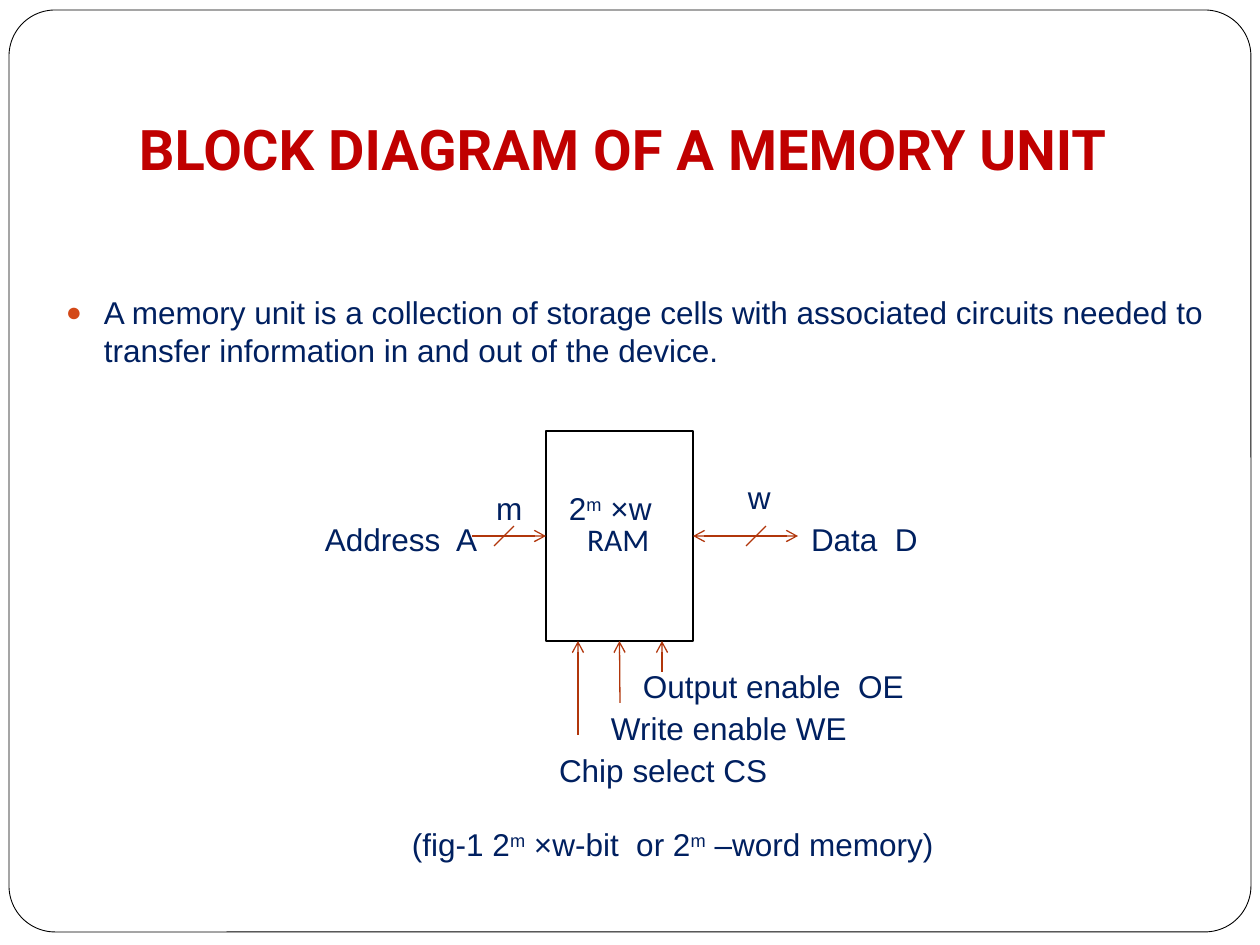
from lxml.etree import SubElement
from pptx import Presentation
from pptx.dml.color import RGBColor
from pptx.enum.shapes import MSO_CONNECTOR, MSO_SHAPE
from pptx.enum.text import MSO_ANCHOR, MSO_AUTO_SIZE, PP_ALIGN
from pptx.oxml.ns import qn
from pptx.util import Pt

PX = 914400 / 126
NAVY, RED, RUST, BULLET = "002060", "C00000", "B1360B", "D34817"
BLACK, WHITE = "000000", "FFFFFF"

TITLE = "BLOCK DIAGRAM OF A MEMORY UNIT"
BODY = ("A memory unit is a collection of storage cells with associated circuits "
        "needed to transfer information in and out of the device.")
RAM = (546, 431, 147, 210)
MID_Y = RAM[1] + RAM[3] // 2
BOTTOM = RAM[1] + RAM[3]

# Text between carets is superscript.
LABELS = [
    ("Address  A", 312, 514, 203),
    ("Data  D", 798, 514, 168),
    ("Output enable  OE", 630, 661, 357),
    ("Write enable WE", 598, 703, 325),
    ("Chip select CS", 546, 745, 284),
    ("(fig-1 2^m^ ×w-bit  or 2^m^ –word memory)", 399, 819, 588),
    ("m", 483, 483, 42),
    ("w", 735, 472, 52),
    ("2^m^ ×w", 556, 483, 126),
]
CONTROLS = [(578, 735), (620, 703), (662, 672)]
SLASHES = [494, 746]


def emu(*values):
    return [round(v * PX) for v in values]


def rgb(value):
    return RGBColor.from_string(value)


def write(sp, text, size=18, font="Arial", color=NAVY, bold=False,
          anchor=MSO_ANCHOR.TOP, margins=(13, 6, 13, 6), spacing=None):
    tf = sp.text_frame
    tf.word_wrap = True
    tf.auto_size = MSO_AUTO_SIZE.NONE
    tf.vertical_anchor = anchor
    tf.margin_left, tf.margin_top, tf.margin_right, tf.margin_bottom = emu(*margins)
    p = tf.paragraphs[0]
    p.alignment = PP_ALIGN.LEFT
    p.space_before = Pt(0)
    if spacing:
        p.line_spacing = spacing
    for i, part in enumerate(text.split("^")):
        r = p.add_run()
        r.text = part
        r.font.size, r.font.name, r.font.bold = Pt(size), font, bold
        r.font.color.rgb = rgb(color)
        if i % 2:
            r.font._element.set("baseline", "30000")
    return p


def place(sp, *box):
    sp.left, sp.top, sp.width, sp.height = emu(*box)


def add_box(s, kind, box, line_width):
    sp = s.shapes.add_shape(kind, *emu(*box))
    sp.shadow.inherit = False
    sp.fill.solid()
    sp.fill.fore_color.rgb = rgb(WHITE)
    sp.line.color.rgb = rgb(BLACK)
    sp.line.width = Pt(line_width)
    return sp


def add_line(s, x1, y1, x2, y2, *ends):
    c = s.shapes.add_connector(MSO_CONNECTOR.STRAIGHT, *emu(x1, y1, x2, y2))
    c.line.color.rgb = rgb(RUST)
    c.line.width = Pt(0.75)
    for end in ends:
        SubElement(c.line._get_or_add_ln(), qn(f"a:{end}"), type="arrow")
    SubElement(c._element.spPr, qn("a:effectLst"))
    return c


def add_bullet(p):
    pPr = p._p.get_or_add_pPr()
    indent, = emu(38)
    pPr.set("marL", str(indent))
    pPr.set("indent", str(-indent))
    SubElement(SubElement(pPr, qn("a:buClr")), qn("a:srgbClr"), val=BULLET)
    SubElement(pPr, qn("a:buSzPct"), val="85000")
    SubElement(pPr, qn("a:buChar"), char="●")


def main():
    prs = Presentation()
    prs.slide_width, prs.slide_height = emu(1260, 945)
    s = prs.slides.add_slide(prs.slide_layouts[1])

    frame = add_box(s, MSO_SHAPE.ROUNDED_RECTANGLE, (9, 10, 1242, 922), 0.5)
    frame.adjustments[0] = 0.05
    s.shapes._spTree.insert(2, frame._element)

    title, body = s.placeholders
    place(title, 126, 38, 1071, 157)
    write(title, TITLE, size=32, font="Roboto", color=RED, bold=True,
          anchor=MSO_ANCHOR.BOTTOM, margins=(13, 6, 13, 13))
    place(body, 53, 220, 1187, 662)
    body.fill.solid()
    body.fill.fore_color.rgb = rgb(WHITE)
    add_bullet(write(body, BODY, margins=(13, 73, 13, 6)))

    ram = add_box(s, MSO_SHAPE.RECTANGLE, RAM, 1)
    write(ram, "RAM", font="Calibri", anchor=MSO_ANCHOR.MIDDLE,
          margins=(41, 6, 13, 6), spacing=1.15)

    data = add_line(s, RAM[0] + RAM[2], MID_Y, 798, MID_Y, "headEnd", "tailEnd")
    data.begin_connect(ram, 3)
    address = add_line(s, 472, MID_Y, RAM[0], MID_Y, "tailEnd")
    address.end_connect(ram, 1)
    controls = [add_line(s, x, y, x, BOTTOM, "tailEnd") for x, y in CONTROLS]
    controls[1].end_connect(ram, 2)
    for x in SLASHES:
        add_line(s, x, MID_Y + 10, x + 20, MID_Y - 10)

    for text, x, y, w in LABELS:
        write(s.shapes.add_textbox(*emu(x, y, w, 50)), text)

    prs.save("out.pptx")


if __name__ == "__main__":
    main()
